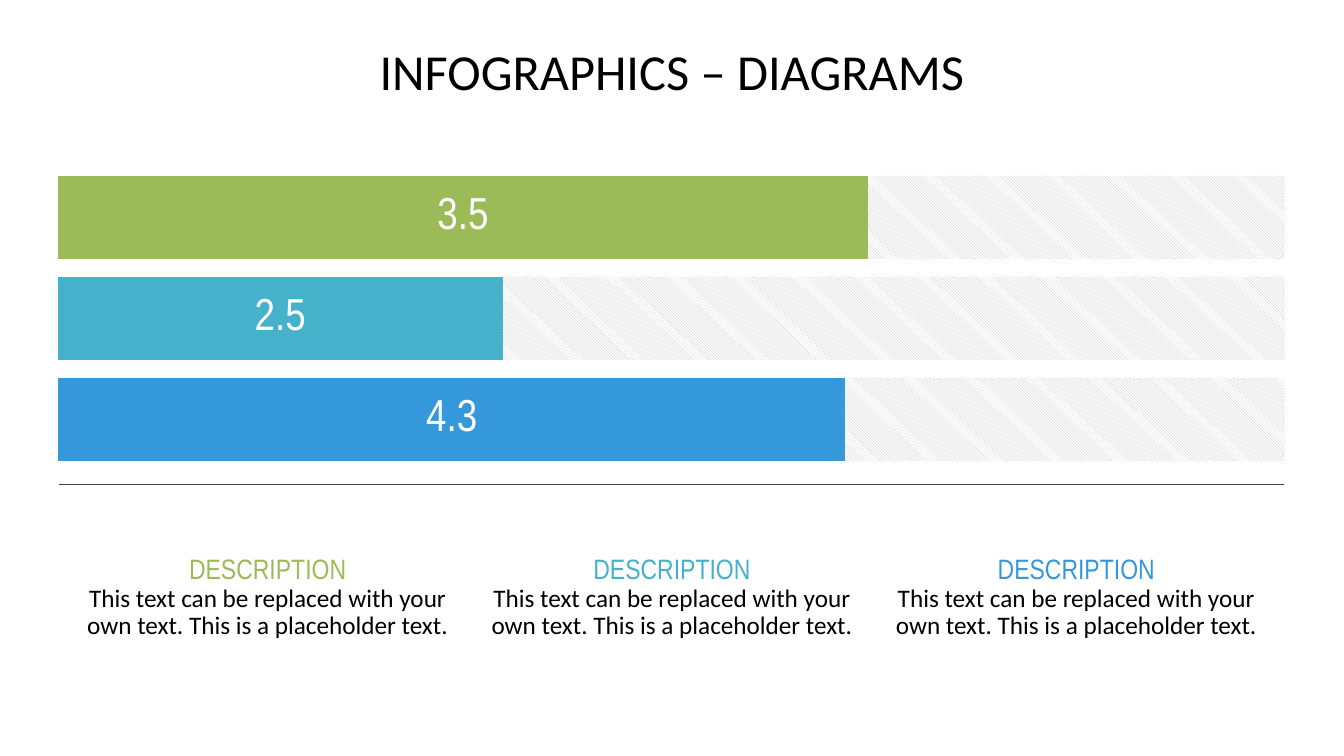
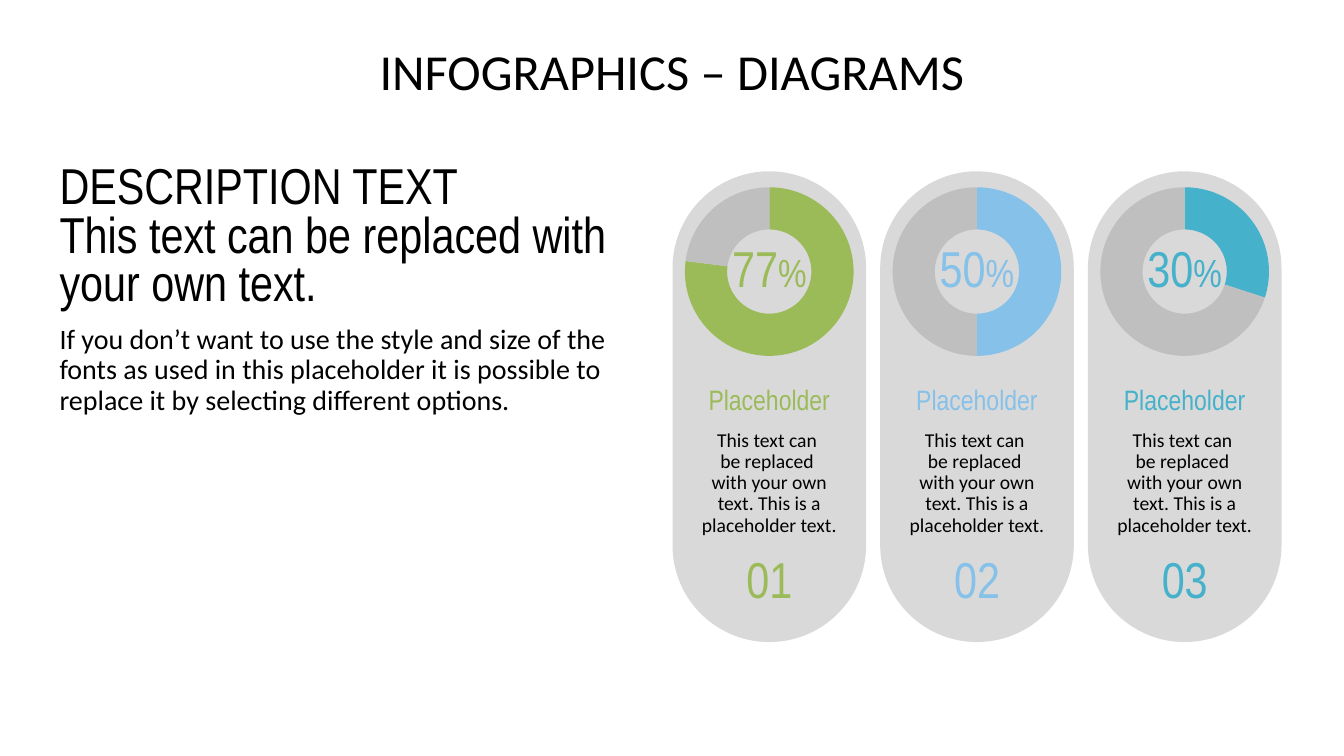
"""Build two infographic slides: stacked bars and ring gauges."""
from copy import deepcopy
from lxml.etree import SubElement
from pptx import Presentation
from pptx.chart.data import CategoryChartData
from pptx.dml.color import RGBColor
from pptx.enum.chart import XL_CHART_TYPE, XL_LABEL_POSITION
from pptx.enum.dml import MSO_PATTERN
from pptx.enum.shapes import MSO_CONNECTOR, MSO_SHAPE
from pptx.enum.text import MSO_ANCHOR, PP_ALIGN
from pptx.oxml import parse_xml
from pptx.oxml.ns import qn
from pptx.util import Inches, Pt

INK = {"black": "000000", "white": "FFFFFF", "green": "9BBB59", "teal": "45B1CB",
       "blue": "3498DB", "sky": "85C1E9", "rule": "404040", "pill": "D9D9D9",
       "rest": "BFBFBF"}
HEAD, BODY = "Arial Narrow", "Calibri"
SIZE = (13.33, 7.5)
LEFT, WIDE = 0.59, 12.15

TITLE = "INFOGRAPHICS – DIAGRAMS"
BARS = [("1", 4.3, 2.4, "blue"), ("2", 2.5, 4.4, "teal"), ("3", 3.5, 1.8, "green")]
NOTES = ["green", "teal", "blue"]
NOTE = "This text can be replaced with your own text. This is a placeholder text. "
LEAD = "DESCRIPTION TEXT\nThis text can be replaced with your own text."
MORE = ("If you don’t want to use the style and size of the fonts as used in this "
        "placeholder it is possible to replace it by selecting different options.")
RINGS = [(77, "green"), (50, "sky"), (30, "teal")]
CARD = "This text can \nbe replaced \nwith your own text. This is a placeholder text. "

NOTE_W = 4.01
PILL_W, PILL_H, PITCH, PILL_X, PILL_Y = 1.92, 4.67, 2.06, 6.67, 1.7
RING_W, RING_H, DISC = 2.39, 1.95, 1.18


def tint(name):
    return RGBColor.from_string(INK[name])


def box(at):
    return [Inches(v) for v in at]


def write(shape, paras, align=PP_ALIGN.CENTER, anchor=MSO_ANCHOR.TOP, pad=(0, 0, 0, 0)):
    """Fill a shape with (line spacing, space after, runs) paragraphs."""
    frame = shape.text_frame
    frame.word_wrap = True
    frame.vertical_anchor = anchor
    frame.margin_left, frame.margin_top, frame.margin_right, frame.margin_bottom = box(pad)
    for i, (space, after, runs) in enumerate(paras):
        para = frame.add_paragraph() if i else frame.paragraphs[0]
        para.alignment, para.line_spacing, para.space_after = align, space, Pt(after)
        for text, size, face, color in runs:
            lines = text.split("\n")
            for n, line in enumerate(lines):
                if line:
                    run = para.add_run()
                    run.text = line
                    run.font.size, run.font.name = Pt(size), face
                    run.font.color.rgb = tint(color)
                if n < len(lines) - 1:
                    para.add_line_break()
                    para._p[-1].append(deepcopy(run._r.get_or_add_rPr()))


def label(slide, at, paras, **style):
    write(slide.shapes.add_textbox(*box(at)), paras, **style)


def plot(slide, kind, at, cats, rows, inner):
    """Add a bare chart whose plot takes the given shares of its frame."""
    data = CategoryChartData()
    data.categories = cats
    for name, vals in rows:
        data.add_series(name, vals)
    chart = slide.shapes.add_chart(kind, *box(at), data).chart
    chart.has_title = chart.has_legend = False
    chart.font.size, chart.font.name = Pt(18), BODY
    chart.font.color.rgb = tint("black")
    chart.plots[0].vary_by_categories = False
    area = chart._chartSpace.chart.plotArea
    for old in area.findall(qn("c:layout")):
        area.remove(old)
    layout = parse_xml('<c:layout xmlns:c="http://schemas.openxmlformats.org/'
                       'drawingml/2006/chart"><c:manualLayout/></c:layout>')
    parts = [("layoutTarget", "inner"), ("xMode", "edge"), ("yMode", "edge"),
             *zip("xywh", inner)]
    for tag, val in parts:
        SubElement(layout[0], qn("c:" + tag)).set("val", str(val))
    area.insert(0, layout)
    return chart


def paint(series, colors):
    for i, color in enumerate(colors):
        form = series.points[i].format
        form.fill.solid()
        form.fill.fore_color.rgb = tint(color)
        form.line.fill.background()


def start(deck):
    slide = deck.slides.add_slide(deck.slide_layouts[6])
    label(slide, (LEFT, 0.47, WIDE, 1.18), [(0.9, 0, [(TITLE, 36, BODY, "black")])])
    return slide


def bars(slide):
    cats, vals, rest, colors = zip(*BARS)
    chart = plot(slide, XL_CHART_TYPE.BAR_STACKED_100, (0.25, 1.47, 12.58, 3.34), cats,
                 [("Series 1", vals), ("Series 2", rest)], (0.026, 0.056, 0.967, 0.9))
    chart.value_axis.has_major_gridlines = False
    chart.value_axis.visible = chart.category_axis.visible = False
    group = chart.plots[0]
    group.gap_width, group.overlap = 21, 100
    done, left = group.series
    paint(done, colors)
    tags = done.data_labels
    tags.show_value, tags.position = True, XL_LABEL_POSITION.CENTER
    tags.font.size, tags.font.name = Pt(32), HEAD
    tags.font.color.rgb = tint("white")
    fill = left.format.fill
    fill.patterned()
    fill.pattern = MSO_PATTERN.LIGHT_DOWNWARD_DIAGONAL
    fill.fore_color.rgb, fill.back_color.rgb = tint("rest"), tint("white")
    first = (SIZE[0] - 3 * NOTE_W) / 2
    for i, color in enumerate(NOTES):
        runs = [("DESCRIPTION\n", 20, HEAD, color), (NOTE, 18, BODY, "black")]
        label(slide, (first + i * NOTE_W, 5.38, NOTE_W, 0.97), [(0.9, 10, runs)],
              anchor=MSO_ANCHOR.BOTTOM, pad=(0.2, 0, 0.2, 0))
    rule = slide.shapes.add_connector(MSO_CONNECTOR.STRAIGHT,
                                      *box((LEFT, 4.81, LEFT + WIDE, 4.81)))
    rule.line.color.rgb, rule.line.width = tint("rule"), Pt(0.5)
    SubElement(rule._element.spPr, qn("a:effectLst"))


def ring(slide, i, share, color):
    x = PILL_X + i * PITCH
    mid = x + PILL_W / 2
    pill = slide.shapes.add_shape(MSO_SHAPE.ROUNDED_RECTANGLE,
                                  *box((x, PILL_Y, PILL_W, PILL_H)))
    pill.adjustments[0] = 0.5
    pill.shadow.inherit = False
    pill.fill.solid()
    pill.fill.fore_color.rgb = tint("pill")
    pill.line.fill.background()
    write(pill, [(0.9, 10, [("Placeholder", 20, HEAD, color)]),
                 (0.9, 10, [(CARD, 14, BODY, "black")])], pad=(0, 1.85, 0, 0))
    chart = plot(slide, XL_CHART_TYPE.DOUGHNUT, (mid - RING_W / 2, 1.72, RING_W, RING_H),
                 ["1", "2"], [("Series 1", (share, 100 - share))], (0.15, 0.07, 0.7, 0.86))
    paint(chart.plots[0].series[0], [color, "rest"])
    next(chart._chartSpace.iter(qn("c:holeSize"))).set("val", "89")
    label(slide, (mid - DISC / 2, 2.1, DISC, DISC),
          [(0.9, 10, [(str(share), 36, HEAD, color), ("%", 28, HEAD, color)])],
          anchor=MSO_ANCHOR.MIDDLE)
    label(slide, (x, PILL_Y + PILL_H - DISC, PILL_W, DISC),
          [(0.9, 10, [(f"{i + 1:02}", 36, HEAD, color)])], anchor=MSO_ANCHOR.MIDDLE)


def rings(slide):
    label(slide, (LEFT, 1.65, 5.62, 4.7),
          [(0.8, 10, [(LEAD, 36, HEAD, "black")]), (0.9, 10, [(MORE, 20, BODY, "black")])],
          align=PP_ALIGN.LEFT)
    for i, (share, color) in enumerate(RINGS):
        ring(slide, i, share, color)


def main():
    deck = Presentation()
    deck.slide_width, deck.slide_height = box(SIZE)
    for build in (bars, rings):
        build(start(deck))
    deck.save("out.pptx")


if __name__ == "__main__":
    main()
